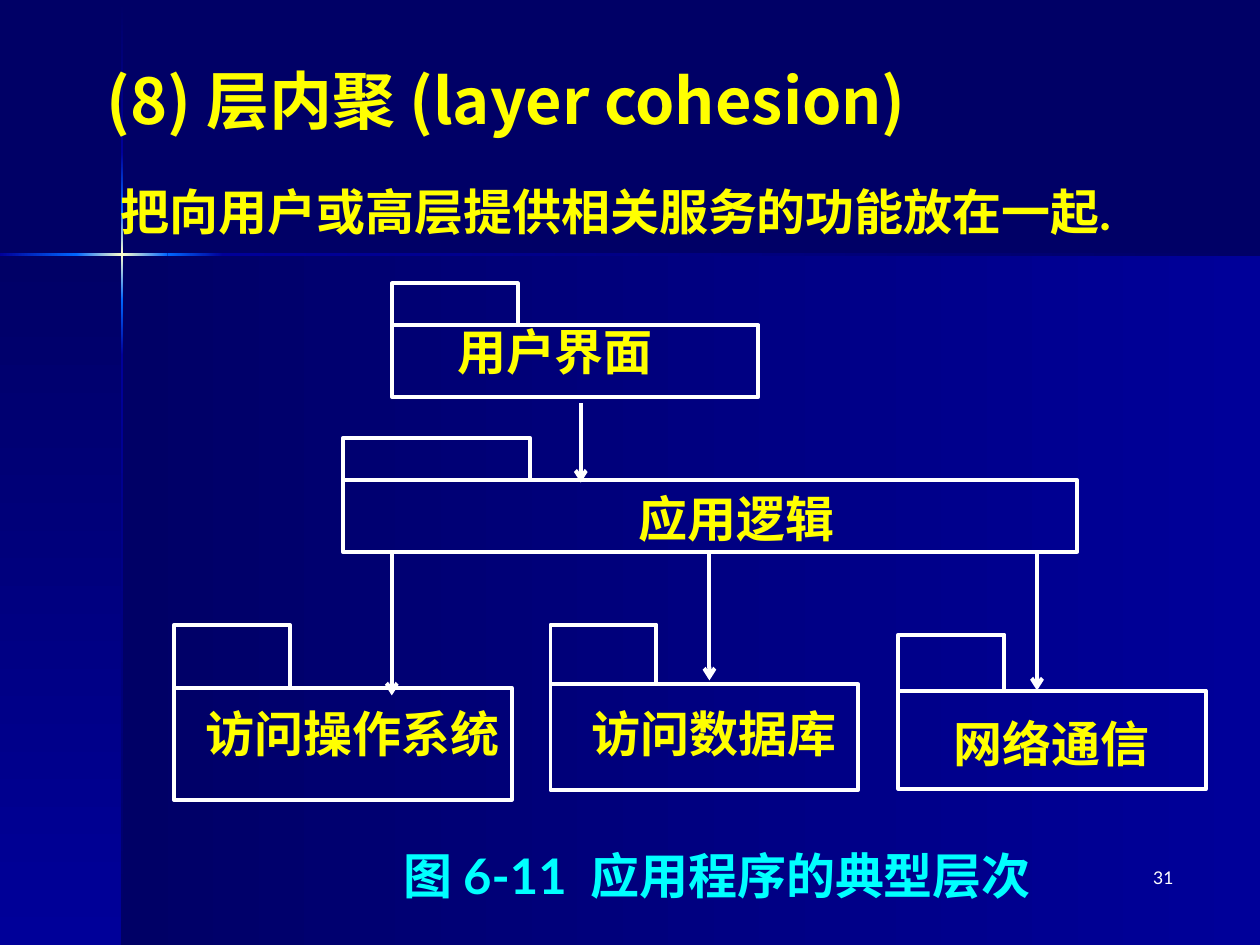
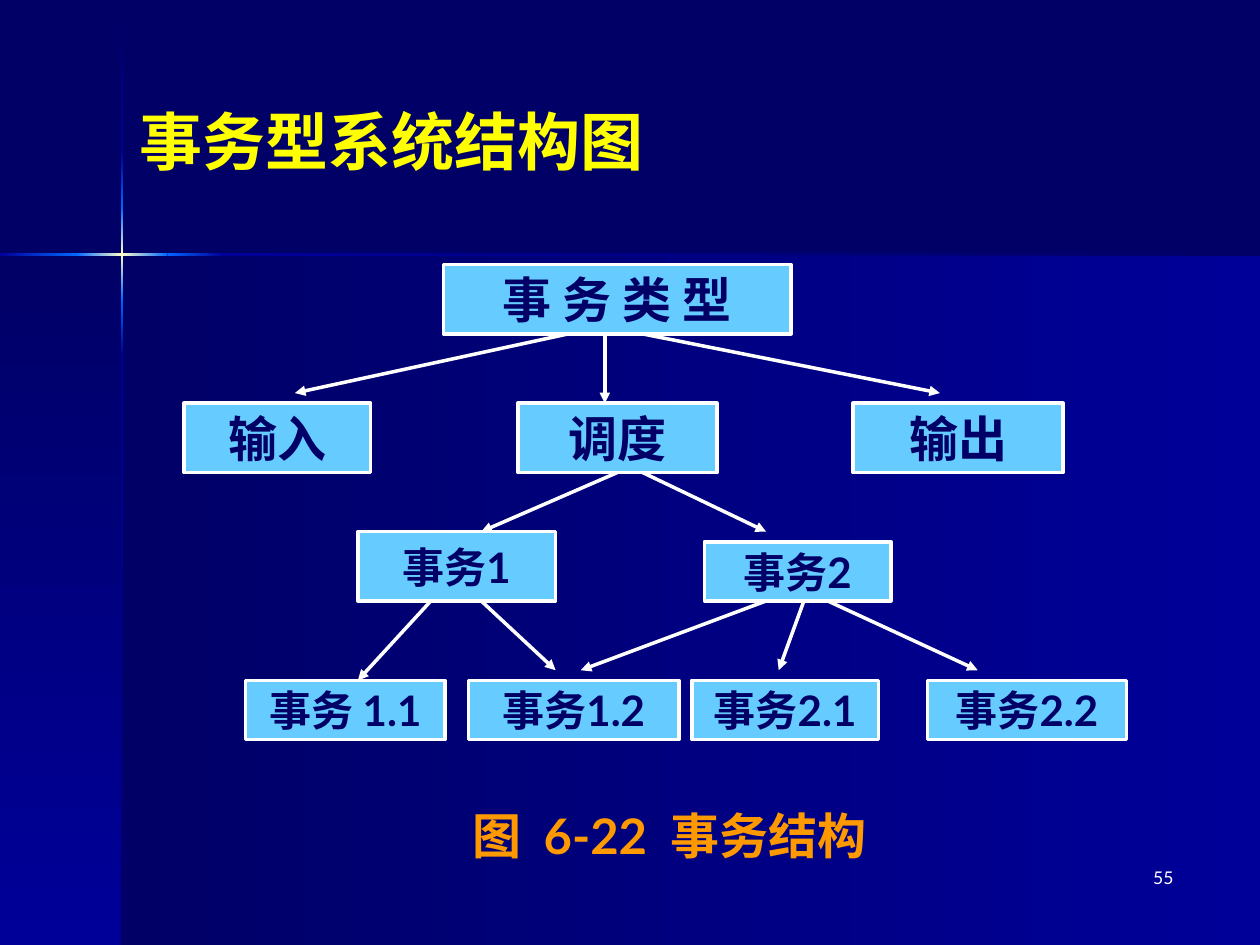
from copy import deepcopy
from itertools import chain

from pptx import Presentation
from pptx.dml.color import RGBColor
from pptx.enum.shapes import MSO_CONNECTOR, MSO_SHAPE
from pptx.enum.text import MSO_ANCHOR, PP_ALIGN
from pptx.oxml.ns import qn
from pptx.util import Pt

RECTANGLE = MSO_SHAPE.RECTANGLE
STRAIGHT = MSO_CONNECTOR.STRAIGHT
LEFT, CENTER, RIGHT = PP_ALIGN.LEFT, PP_ALIGN.CENTER, PP_ALIGN.RIGHT
TOP, MIDDLE = MSO_ANCHOR.TOP, MSO_ANCHOR.MIDDLE
RIGHTWARD, DOWNWARD = 0, 270
WIDTH, HEIGHT = 720, 540


class Theme:
    navy = RGBColor(0x00, 0x00, 0x66)
    royal = RGBColor(0x00, 0x00, 0x99)
    glow = RGBColor(0x00, 0x66, 0xFF)
    spark = RGBColor(0xFF, 0xFF, 0xCC)
    yellow = RGBColor(0xFF, 0xFF, 0x00)
    white = RGBColor(0xFF, 0xFF, 0xFF)
    sky = RGBColor(0x66, 0xCC, 0xFF)
    cyan = RGBColor(0x00, 0xFF, 0xFF)
    orange = RGBColor(0xFF, 0x99, 0x00)
    latin_font = "Lato"
    chinese_font = "Noto Sans CJK SC"
    title_size = 36
    text_size = 28
    task_size = 24
    number_size = 10
    package_line = 2.25
    chart_line = 2


def write_text(shape, text, size, color, align=CENTER, anchor=TOP,
               font=Theme.latin_font, bold=True, wrap=True):
    text_frame = shape.text_frame
    text_frame.text = text
    text_frame.word_wrap = wrap
    text_frame.vertical_anchor = anchor
    paragraph = text_frame.paragraphs[0]
    paragraph.alignment = align
    run = paragraph.runs[0]
    run.font.size = Pt(size)
    run.font.bold = bold
    run.font.color.rgb = color
    run.font.name = font
    east_asian = run.font.color and run._r.get_or_add_rPr()
    east_asian.append(east_asian.makeelement(qn("a:ea"), {"typeface": Theme.chinese_font}))


def add_arrow(slide, start, end, width, head):
    """Draw a white line from start to end with an arrowhead at its end."""
    points = [Pt(value) for value in (*start, *end)]
    connector = slide.shapes.add_connector(STRAIGHT, *points)
    connector.line.width = Pt(width)
    connector.line.color.rgb = Theme.white
    properties = connector.element.spPr
    line = properties.find(qn("a:ln"))
    line.append(line.makeelement(qn("a:tailEnd"), {"type": head}))
    properties.append(properties.makeelement(qn("a:effectLst"), {}))


presentation = Presentation()
presentation.slide_width, presentation.slide_height = Pt(WIDTH), Pt(HEIGHT)
master = presentation.slide_master
master.background.fill.solid()
master.background.fill.fore_color.rgb = Theme.navy

# Titles and page numbers
title_frames = [
    ("(8) 层内聚 (layer cohesion)", (54, 0, 594, 113), "31"),
    ("事务型系统结构图", (72.7, 23.8, 605, 113), "55"),
]
slides = []
for title, frame, number in title_frames:
    slide = presentation.slides.add_slide(presentation.slide_layouts[6])
    title_box = slide.shapes.add_textbox(*map(Pt, frame))
    write_text(title_box, title, Theme.title_size, Theme.yellow, LEFT, MIDDLE,
               font=Theme.chinese_font)
    number_box = slide.shapes.add_textbox(Pt(527.8), Pt(491.8), Pt(149.8), Pt(36))
    write_text(number_box, number, Theme.number_size, Theme.white, RIGHT, bold=False)
    slides.append(slide)
layer_slide, task_slide = slides

# Backdrop on the master: two panels and two light beams that cross
CROSS_X, CROSS_Y, BEAM = 69.84, 145.44, 1.5
fade_in = (Theme.royal, Theme.glow)
flash = (Theme.glow, Theme.spark, Theme.glow)
fade_out = (Theme.glow, Theme.royal)
vanish = (Theme.royal, Theme.navy)
vertical_beam = [
    (0.7, 87.1, (Theme.navy, Theme.royal)), (87.1, 118.8, fade_in),
    (118.8, 171.4, flash), (171.4, 203, fade_out), (203, HEIGHT, vanish),
]
horizontal_beam = [
    (0, 43.5, fade_in), (43.5, 95.8, flash), (95.8, 127.4, fade_out), (127.4, WIDTH, vanish),
]
panels = [
    (CROSS_X, CROSS_Y, WIDTH - CROSS_X, HEIGHT - CROSS_Y, RIGHTWARD, (Theme.navy, Theme.royal)),
    (0, CROSS_Y, CROSS_X, HEIGHT - CROSS_Y, DOWNWARD, (Theme.navy, Theme.royal)),
]
beams = chain(
    ((CROSS_X - BEAM / 2, start, BEAM, end - start, DOWNWARD, colors)
     for start, end, colors in vertical_beam),
    ((start, CROSS_Y - BEAM / 2, end - start, BEAM, RIGHTWARD, colors)
     for start, end, colors in horizontal_beam),
)
for shape_id, (*frame, angle, colors) in enumerate(chain(panels, beams), start=100):
    shape = layer_slide.shapes.add_shape(RECTANGLE, *map(Pt, frame))
    shape.shadow.inherit = False
    shape.line.fill.background()
    shape.fill.gradient()
    shape.fill.gradient_angle = angle
    stop_list = shape.element.spPr.find(".//" + qn("a:gsLst"))
    while len(stop_list) < len(colors):
        stop_list.append(deepcopy(stop_list[-1]))
    for index, (stop, color) in enumerate(zip(shape.fill.gradient_stops, colors)):
        stop.position = index / (len(colors) - 1)
        stop.color.rgb = color
    shape.element.nvSpPr.cNvPr.set("id", str(shape_id))
    master.shapes.element.append(shape.element)

# Layer cohesion: package diagram
layer_texts = [
    ("把向用户或高层提供相关服务的功能放在一起.", (62, 100, 658, 62.6), Theme.yellow, LEFT),
    ("用户界面", (115.9, 180, 402.5, 41), Theme.yellow, CENTER),
    ("应用逻辑", (121.7, 275.8, 598.3, 41), Theme.yellow, CENTER),
    ("访问操作系统", (0, 398.2, 402.5, 41), Theme.yellow, CENTER),
    ("访问数据库", (206.6, 398.2, 402.5, 41), Theme.yellow, CENTER),
    ("网络通信", (481.6, 403.9, 238.4, 41), Theme.yellow, CENTER),
    ("图 6-11  应用程序的典型层次", (99.4, 479.5, 620.6, 41), Theme.cyan, CENTER),
]
for text, frame, color, align in layer_texts:
    text_box = layer_slide.shapes.add_textbox(*map(Pt, frame))
    write_text(text_box, text, Theme.text_size, color, align)

# Each package: left, top, width and height of the body, then width and height of the tab
packages = [
    (223.9, 185.8, 209.5, 41, 72, 23.8),
    (195.8, 274.3, 419.8, 41, 107.3, 23.8),
    (99.4, 393.1, 193, 64, 66.2, 36),
    (314.6, 391, 175.7, 60.5, 60.5, 34),
    (513.4, 394.6, 175.7, 56.2, 60.5, 32),
]
for left, top, width, height, tab_width, tab_height in packages:
    for frame in [(left, top, width, height), (left, top - tab_height, tab_width, tab_height)]:
        outline = layer_slide.shapes.add_shape(RECTANGLE, *map(Pt, frame))
        outline.shadow.inherit = False
        outline.fill.background()
        outline.line.color.rgb = Theme.white
        outline.line.width = Pt(Theme.package_line)

for x, start_y, end_y in [(331.9, 230.4, 275.8), (223.9, 315.4, 397.4),
                          (405.4, 315.4, 388.8), (592.6, 315.4, 394.6)]:
    add_arrow(layer_slide, (x, start_y), (x, end_y), Theme.package_line, "arrow")

# Transaction system: structure chart
modules = [
    ("事 务 类 型", 253.4, 151.2, 198.7, 39.6, Theme.text_size),
    ("输入", 105.1, 230.4, 106.6, 39.6, Theme.text_size),
    ("调度", 295.9, 230.4, 113.8, 39.6, Theme.text_size),
    ("输出", 487.4, 230.4, 120.2, 39.6, Theme.text_size),
    ("事务1", 204.5, 303.8, 113, 39.6, Theme.task_size),
    ("事务2", 402.5, 309.6, 106.6, 33.8, Theme.task_size),
    ("事务 1.1", 140.4, 388.8, 113.8, 33.8, Theme.task_size),
    ("事务1.2", 267.8, 388.8, 120.2, 33.8, Theme.task_size),
    ("事务2.1", 395.3, 388.8, 106.6, 33.8, Theme.task_size),
    ("事务2.2", 529.9, 388.8, 113.8, 33.8, Theme.task_size),
]
for text, *frame, size in modules:
    box = task_slide.shapes.add_shape(RECTANGLE, *map(Pt, frame))
    box.shadow.inherit = False
    box.fill.solid()
    box.fill.fore_color.rgb = Theme.sky
    box.line.color.rgb = Theme.white
    box.line.width = Pt(Theme.chart_line)
    write_text(box, text, size, Theme.navy, anchor=MIDDLE, wrap=False)

calls = [
    ((324.7, 190.8), (168.5, 224.6)), ((345.6, 190.8), (345.6, 230.4)),
    ((367.2, 190.8), (537.1, 224.6)),
    ((352.8, 270), (275, 303.8)), ((367.2, 270), (437.8, 303.8)),
    ((246.2, 343.4), (204.5, 388.8)), ((275, 343.4), (317.5, 383)),
    ((437.8, 343.4), (331.9, 383)), ((459.4, 343.4), (445, 383)),
    ((473, 343.4), (558.7, 383)),
]
for start, end in calls:
    add_arrow(task_slide, start, end, Theme.chart_line, "triangle")

caption = task_slide.shapes.add_textbox(Pt(175.6), Pt(451.4), Pt(414), Pt(51.1))
write_text(caption, "图  6-22  事务结构", Theme.text_size, Theme.orange, anchor=MIDDLE)

presentation.save("out.pptx")
